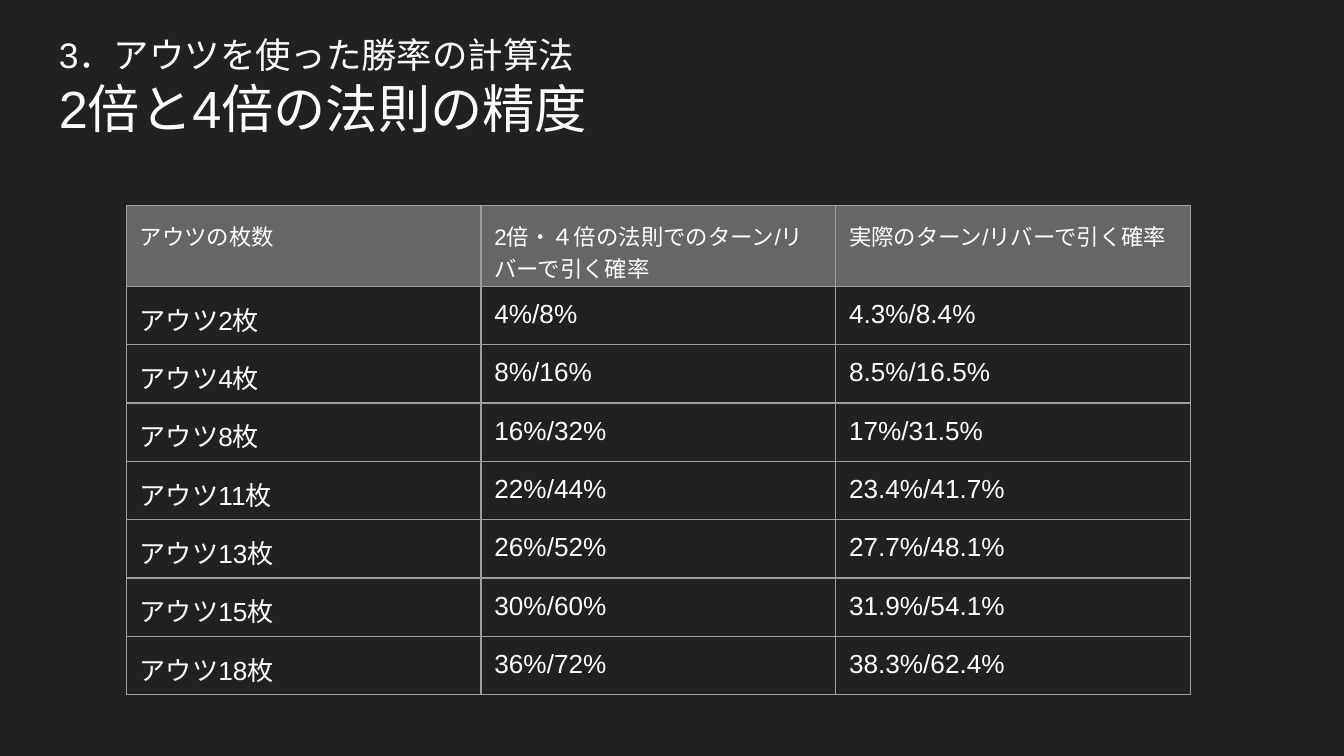
"""Build the slide on how accurate the 2x and 4x rules are."""
import lxml.etree
import pptx
import pptx.dml.color
import pptx.enum.text
import pptx.oxml.ns
import pptx.util

FONT = "Arial"
BACKGROUND, WHITE, HEADER_FILL, BORDER = "212121", "FFFFFF", "666666", "9E9E9E"
INSET = 7.2
COLUMN_WIDTH, ROW_HEIGHT = 190, 30
HEADINGS = ["アウツの枚数", "2倍・４倍の法則でのターン/リバーで引く確率", "実際のターン/リバーで引く確率"]
ODDS = [
    (2, "4%/8%", "4.3%/8.4%"),
    (4, "8%/16%", "8.5%/16.5%"),
    (8, "16%/32%", "17%/31.5%"),
    (11, "22%/44%", "23.4%/41.7%"),
    (13, "26%/52%", "27.7%/48.1%"),
    (15, "30%/60%", "31.9%/54.1%"),
    (18, "36%/72%", "38.3%/62.4%"),
]


def colour(value):
    """Turn a hex string into a colour."""
    return pptx.dml.color.RGBColor.from_string(value)


def add_run(paragraph, text, size):
    """Add one white run to a paragraph."""
    run = paragraph.add_run()
    run.text = text
    run.font.name = FONT
    run.font.size = pptx.util.Pt(size)
    run.font.bold = False
    run.font.color.rgb = colour(WHITE)


def set_insets(holder):
    """Give a text frame or a cell the same margin on every side."""
    for side in ("left", "top", "right", "bottom"):
        setattr(holder, f"margin_{side}", pptx.util.Pt(INSET))


def add_title(slide, lines):
    """Add the title, one paragraph for each text and size."""
    title = slide.shapes.add_textbox(*map(pptx.util.Pt, (24.5, 10.8, 671, 45.4)))
    frame = title.text_frame
    frame.word_wrap = True
    frame.vertical_anchor = pptx.enum.text.MSO_ANCHOR.TOP
    set_insets(frame)
    for index, (text, size) in enumerate(lines):
        paragraph = frame.add_paragraph() if index else frame.paragraphs[0]
        add_run(paragraph, text, size)


def outline_cell(cell):
    """Draw a thin line on all four sides of a cell."""
    qn = pptx.oxml.ns.qn
    properties = cell._tc.get_or_add_tcPr()
    for side in ("a:lnL", "a:lnR", "a:lnT", "a:lnB"):
        line = lxml.etree.SubElement(properties, qn(side), w=str(pptx.util.Pt(0.75)))
        fill = lxml.etree.SubElement(line, qn("a:solidFill"))
        lxml.etree.SubElement(fill, qn("a:srgbClr"), val=BORDER)


def fill_cell(cell, text, size, fill):
    """Set the text, border and fill of a cell."""
    set_insets(cell)
    cell.vertical_anchor = pptx.enum.text.MSO_ANCHOR.TOP
    add_run(cell.text_frame.paragraphs[0], text, size)
    outline_cell(cell)
    if fill:
        cell.fill.solid()
        cell.fill.fore_color.rgb = colour(fill)
    else:
        cell.fill.background()


def add_odds_table(slide):
    """Add the table of estimated and actual odds."""
    rows = [HEADINGS] + [(f"アウツ{outs}枚", rule, actual) for outs, rule, actual in ODDS]
    columns = len(HEADINGS)
    place = (67.7, 110.2, COLUMN_WIDTH * columns, ROW_HEIGHT * len(rows))
    table = slide.shapes.add_table(len(rows), columns, *map(pptx.util.Pt, place)).table
    table.first_row = False
    table.horz_banding = False
    for row, texts in enumerate(rows):
        size, fill = (14, None) if row else (12, HEADER_FILL)
        for column, text in enumerate(texts):
            fill_cell(table.cell(row, column), text, size, fill)


def main():
    """Build and save the slide."""
    deck = pptx.Presentation()
    deck.slide_width = pptx.util.Pt(720)
    deck.slide_height = pptx.util.Pt(405)
    slide = deck.slides.add_slide(deck.slide_layouts[6])
    slide.background.fill.solid()
    slide.background.fill.fore_color.rgb = colour(BACKGROUND)
    add_title(slide, [("3．アウツを使った勝率の計算法", 19), ("2倍と4倍の法則の精度", 28)])
    add_odds_table(slide)
    deck.save("out.pptx")


if __name__ == "__main__":
    main()
